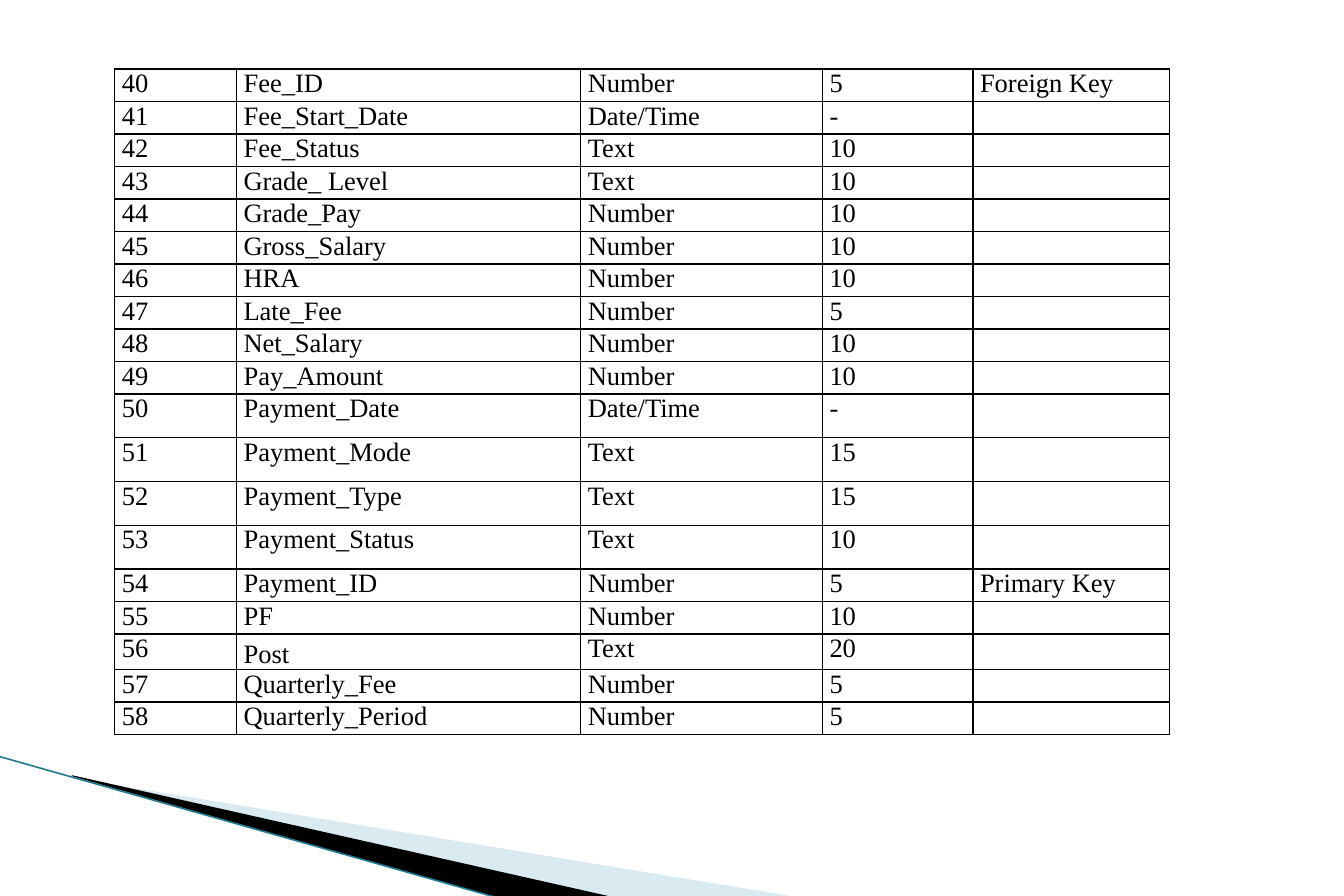
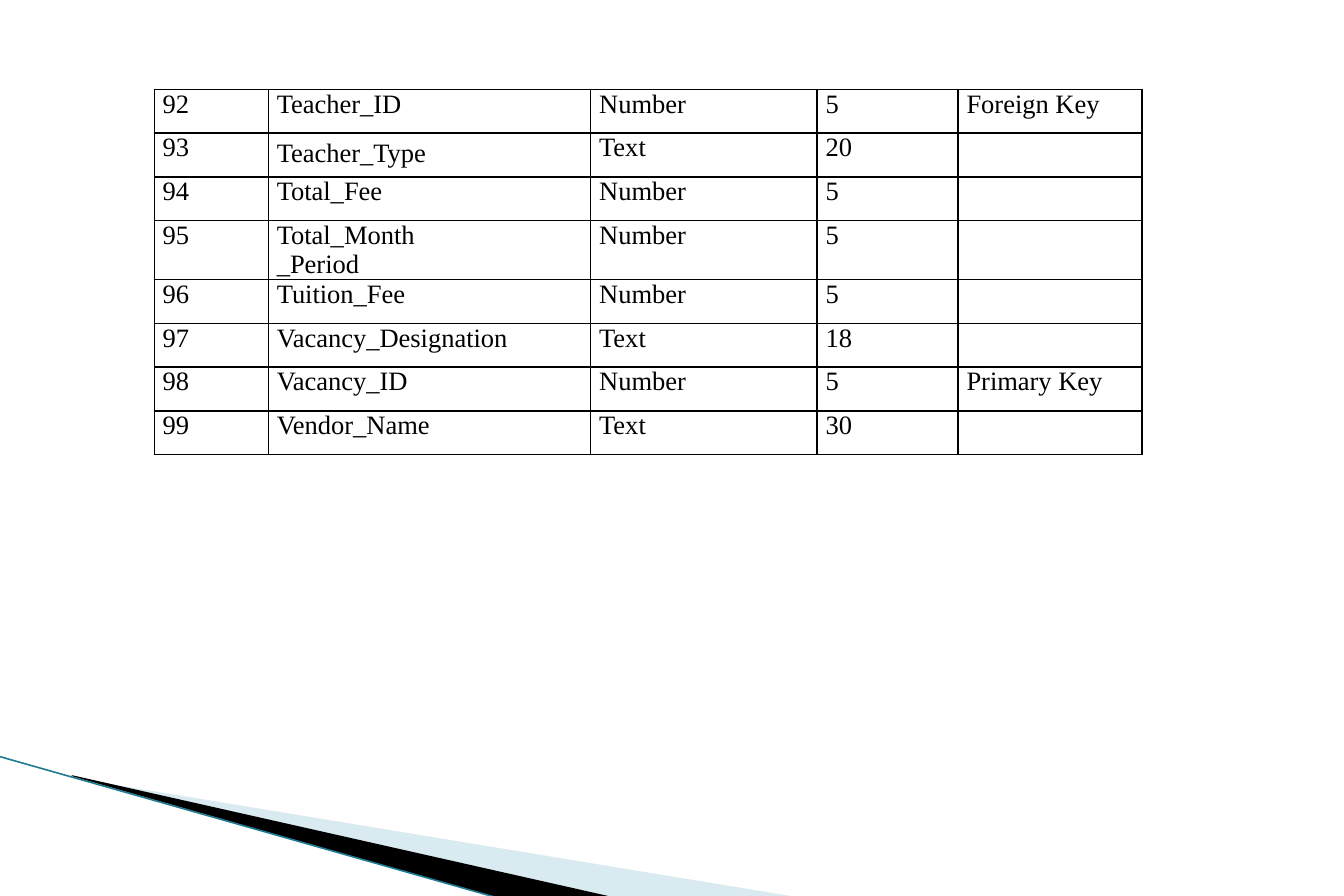
from dataclasses import dataclass

from lxml import etree
from pptx import Presentation
from pptx.dml.color import RGBColor
from pptx.enum import shapes
from pptx.oxml import ns
from pptx.util import Cm, Pt


@dataclass(frozen=True)
class Theme:
    font: str = "Times New Roman"
    size: int = 16
    ink: str = "000000"
    pale_band: str = "A0CBDC"
    pale_opacity: int = 40
    dark_band: str = "000000"
    edge: str = "1F7A92"
    edge_width: float = 0.95
    border_width: float = 1


THEME = Theme()
WIDTH, HEIGHT = 28.58, 19.05
COLUMNS = (2.59, 7.32, 5.14, 3.2, 4.18)
ROW, TALL_ROW, TWO_LINE_ROW = 0.69, 0.93, 1.25
LOOSE_FIELDS = {"Post", "Teacher_Type"}
LOOSE_SPACING = 1.2

PALE_BAND = ((1.55, 16.54), (16.99, 19.08), (13.03, 19.08), (1.57, 16.51))
DARK_BAND = ((1.52, 16.48), (13.06, 19.08), (10.62, 19.1), (1.55, 16.51))
EDGE = (-0.03, 16.08, 10.62, 19.1)

TABLES = [
    {
        "first": 40, "left": 2.44, "top": 1.47, "width": 22.43,
        "margin": 0.15, "tall": range(50, 54),
        "fields": [
            ("Fee_ID", "Number", "5", "Foreign Key"),
            ("Fee_Start_Date", "Date/Time", "-", ""),
            ("Fee_Status", "Text", "10", ""),
            ("Grade_ Level", "Text", "10", ""),
            ("Grade_Pay", "Number", "10", ""),
            ("Gross_Salary", "Number", "10", ""),
            ("HRA", "Number", "10", ""),
            ("Late_Fee", "Number", "5", ""),
            ("Net_Salary", "Number", "10", ""),
            ("Pay_Amount", "Number", "10", ""),
            ("Payment_Date", "Date/Time", "-", ""),
            ("Payment_Mode", "Text", "15", ""),
            ("Payment_Type", "Text", "15", ""),
            ("Payment_Status", "Text", "10", ""),
            ("Payment_ID", "Number", "5", "Primary Key"),
            ("PF", "Number", "10", ""),
            ("Post", "Text", "20", ""),
            ("Quarterly_Fee", "Number", "5", ""),
            ("Quarterly_Period", "Number", "5", ""),
        ],
    },
    {
        "first": 92, "left": 3.28, "top": 1.9, "width": 21.01,
        "margin": 0.18, "tall": range(92, 100),
        "fields": [
            ("Teacher_ID", "Number", "5", "Foreign Key"),
            ("Teacher_Type", "Text", "20", ""),
            ("Total_Fee", "Number", "5", ""),
            ("Total_Month\n_Period", "Number", "5", ""),
            ("Tuition_Fee", "Number", "5", ""),
            ("Vacancy_Designation", "Text", "18", ""),
            ("Vacancy_ID", "Number", "5", "Primary Key"),
            ("Vendor_Name", "Text", "30", ""),
        ],
    },
]


def rgb(color):
    return RGBColor.from_string(color)


def solid_fill(parent, color):
    fill = etree.SubElement(parent, ns.qn("a:solidFill"))
    return etree.SubElement(fill, ns.qn("a:srgbClr"), val=color)


def add_band(s, points, color, opacity=100):
    start, *rest = [(Cm(x), Cm(y)) for x, y in points]
    builder = s.shapes.build_freeform(*start)
    builder.add_line_segments(rest)
    sp = builder.convert_to_shape()
    sp.shadow.inherit = False
    sp.fill.solid()
    sp.fill.fore_color.rgb = rgb(color)
    sp.line.fill.background()
    if opacity < 100:
        clr = sp.element.spPr.find(".//" + ns.qn("a:srgbClr"))
        etree.SubElement(clr, ns.qn("a:alpha"), val=str(opacity * 1000))
    return sp


def add_edge(s):
    line = s.shapes.add_connector(shapes.MSO_CONNECTOR.STRAIGHT, *map(Cm, EDGE))
    line.line.color.rgb = rgb(THEME.edge)
    line.line.width = Pt(THEME.edge_width)
    etree.SubElement(line.element.spPr, ns.qn("a:effectLst"))
    return line


def decorate_layout(s):
    parts = (
        add_band(s, PALE_BAND, THEME.pale_band, THEME.pale_opacity),
        add_band(s, DARK_BAND, THEME.dark_band),
        add_edge(s),
    )
    for part in parts:
        s.slide_layout.shapes.element.append(part.element)


def set_borders(cell):
    tc_pr = cell._tc.get_or_add_tcPr()
    for side in "LRTB":
        ln = etree.SubElement(tc_pr, ns.qn(f"a:ln{side}"), w=str(Pt(THEME.border_width)))
        solid_fill(ln, THEME.ink)


def fill_cell(cell, value, margin):
    cell.margin_left = cell.margin_right = Cm(margin)
    cell.margin_top = cell.margin_bottom = 0
    set_borders(cell)
    cell.fill.background()
    cell.text_frame.text = value
    for p in cell.text_frame.paragraphs:
        if value in LOOSE_FIELDS:
            p.line_spacing = LOOSE_SPACING
        for r in p.runs:
            r.font.name = THEME.font
            r.font.size = Pt(THEME.size)
            r.font.color.rgb = rgb(THEME.ink)
        if not p.runs:
            etree.SubElement(p._p, ns.qn("a:endParaRPr"), sz=str(THEME.size * 100))


def row_height(number, field, tall):
    if "\n" in field:
        return TWO_LINE_ROW
    return TALL_ROW if number in tall else ROW


def add_field_table(s, spec):
    rows = [(n, *field) for n, field in enumerate(spec["fields"], spec["first"])]
    heights = [row_height(row[0], row[1], spec["tall"]) for row in rows]
    box = (spec["left"], spec["top"], spec["width"], sum(heights))
    table = s.shapes.add_table(len(rows), len(COLUMNS), *map(Cm, box)).table
    table.first_row = table.horz_banding = False
    for column, width in zip(table.columns, COLUMNS):
        column.width = Cm(width * spec["width"] / sum(COLUMNS))
    for row, height, values in zip(table.rows, heights, rows):
        row.height = Cm(height)
        for cell, value in zip(row.cells, values):
            fill_cell(cell, str(value), spec["margin"])


def main():
    prs = Presentation()
    prs.slide_width, prs.slide_height = Cm(WIDTH), Cm(HEIGHT)
    layout = prs.slide_layouts[6]
    slides = [prs.slides.add_slide(layout) for _ in TABLES]
    decorate_layout(slides[0])
    for s, spec in zip(slides, TABLES):
        add_field_table(s, spec)
    prs.save("out.pptx")


if __name__ == "__main__":
    main()
